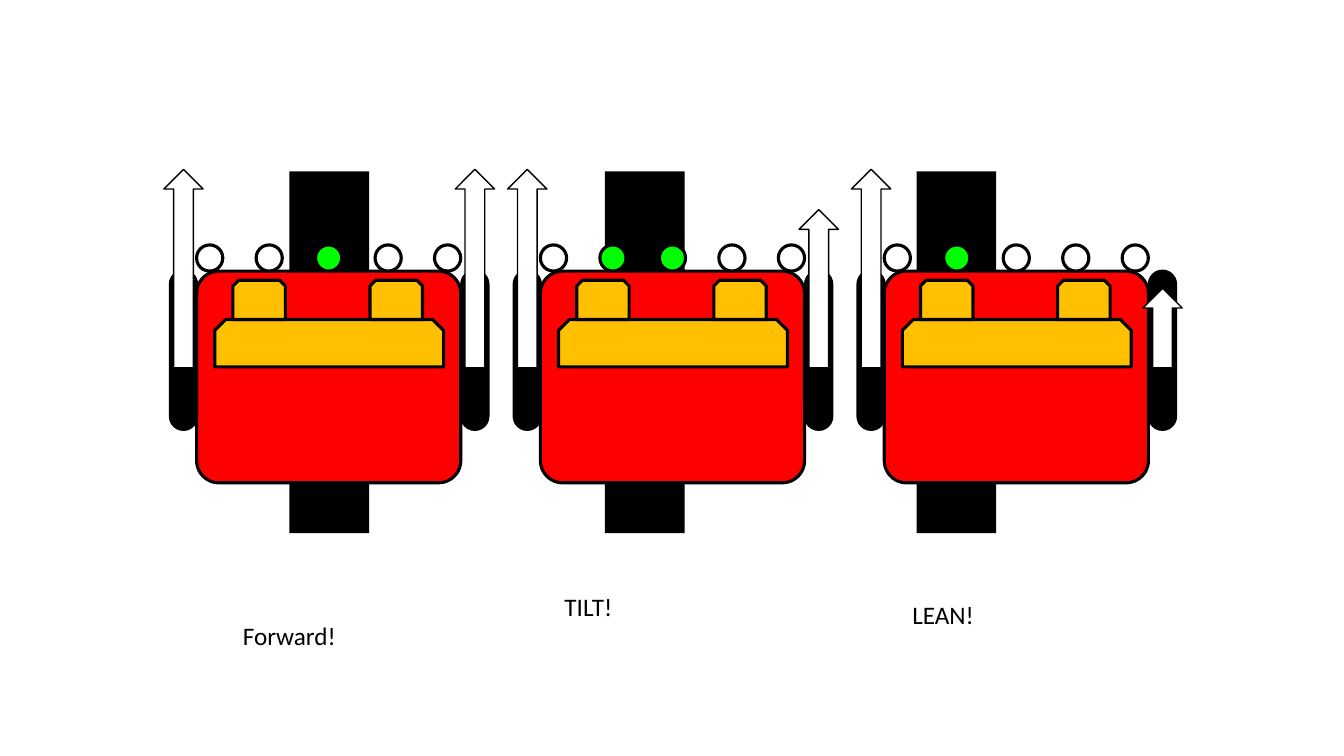
from pptx import Presentation
from pptx.dml.color import RGBColor
from pptx.enum.shapes import MSO_SHAPE as S
from pptx.util import Inches, Pt

COLORS = {"black": "000000", "white": "FFFFFF", "body": "FF0000",
          "panel": "FFC000", "lit": "00FF00"}

# caption, caption box (left, top, width), track left, lit sensors, wheel speeds
ROBOTS = [
    ("Forward!", (2.31, 6.1, 2.53), 2.87, {2}, (1.97, 1.97)),
    ("TILT!", (5.5, 5.82, 1.99), 6.0, {1, 2}, (1.97, 1.57)),
    ("LEAN!", (8.95, 5.9, 2.83), 9.09, {1}, (1.97, 0.79)),
]
FIRST_LEFT, ROBOT_PITCH = 1.95, 3.41
BODY_TOP, BODY_WIDTH, BODY_HEIGHT = 2.69, 2.62, 2.1
WHEEL_WIDTH, WHEEL_HEIGHT = 0.26, 1.57
SENSOR_COUNT, SENSOR_SIZE, SENSOR_PITCH = 5, 0.26, 0.59
ARROW_BOTTOM, ARROW_WIDTH = 3.65, 0.39

prs = Presentation()
prs.slide_width, prs.slide_height = Inches(13.33), Inches(7.5)
slide = prs.slides.add_slide(prs.slide_layouts[6])


def color(name):
    return RGBColor.from_string(COLORS[name])


def add_part(kind, left, top, width, height, fill, line=2.25, adjust=()):
    part = slide.shapes.add_shape(kind, Inches(left), Inches(top),
                                  Inches(width), Inches(height))
    part.shadow.inherit = False
    part.fill.solid()
    part.fill.fore_color.rgb = color(fill)
    if line:
        part.line.color.rgb = color("black")
        part.line.width = Pt(line)
    else:
        part.line.fill.background()
    for i, value in enumerate(adjust):
        part.adjustments[i] = value
    return part


def wheel_lefts(left):
    return left - WHEEL_WIDTH, left + BODY_WIDTH + 0.01


def add_robot(left, track_left, lit):
    # Track, body and panels
    add_part(S.RECTANGLE, track_left, 1.7, 0.79, 3.59, "black", line=None)
    add_part(S.ROUNDED_RECTANGLE, left, BODY_TOP, BODY_WIDTH, BODY_HEIGHT,
             "body", adjust=[0.105])
    add_part(S.SNIP_2_SAME_RECTANGLE, left + 0.18, 3.17, 2.27, 0.47,
             "panel", adjust=[0.23, 0])
    for offset in (0.36, 1.72):
        add_part(S.SNIP_2_SAME_RECTANGLE, left + offset, 2.78, 0.52, 0.39,
                 "panel", adjust=[0.145, 0])
    # Wheels
    for wheel_left in wheel_lefts(left):
        add_part(S.ROUNDED_RECTANGLE, wheel_left, BODY_TOP,
                 WHEEL_WIDTH, WHEEL_HEIGHT, "black", adjust=[0.5])
    # Line sensors
    for i in range(SENSOR_COUNT):
        add_part(S.FLOWCHART_CONNECTOR, left + i * SENSOR_PITCH,
                 BODY_TOP - SENSOR_SIZE, SENSOR_SIZE, SENSOR_SIZE,
                 "lit" if i in lit else "white")


def add_caption(caption, left, top, width):
    box = slide.shapes.add_textbox(Inches(left), Inches(top),
                                   Inches(width), Inches(0.4))
    box.text_frame.word_wrap = True
    box.text_frame.text = caption
    font = box.text_frame.paragraphs[0].runs[0].font
    font.name, font.size = "Calibri", Pt(18)
    font.color.rgb = color("black")


def add_speed_arrow(wheel_left, length):
    center_x = wheel_left + WHEEL_WIDTH / 2
    center_y = ARROW_BOTTOM - length / 2
    arrow = add_part(S.RIGHT_ARROW, center_x - length / 2,
                     center_y - ARROW_WIDTH / 2, length, ARROW_WIDTH,
                     "white", line=1)
    arrow.rotation = 270


for n, (caption, caption_box, track_left, lit, speeds) in enumerate(ROBOTS):
    robot_left = FIRST_LEFT + n * ROBOT_PITCH
    add_robot(robot_left, track_left, lit)
    add_caption(caption, *caption_box)
    for wheel_left, speed in zip(wheel_lefts(robot_left), speeds):
        add_speed_arrow(wheel_left, speed)

prs.save("out.pptx")
